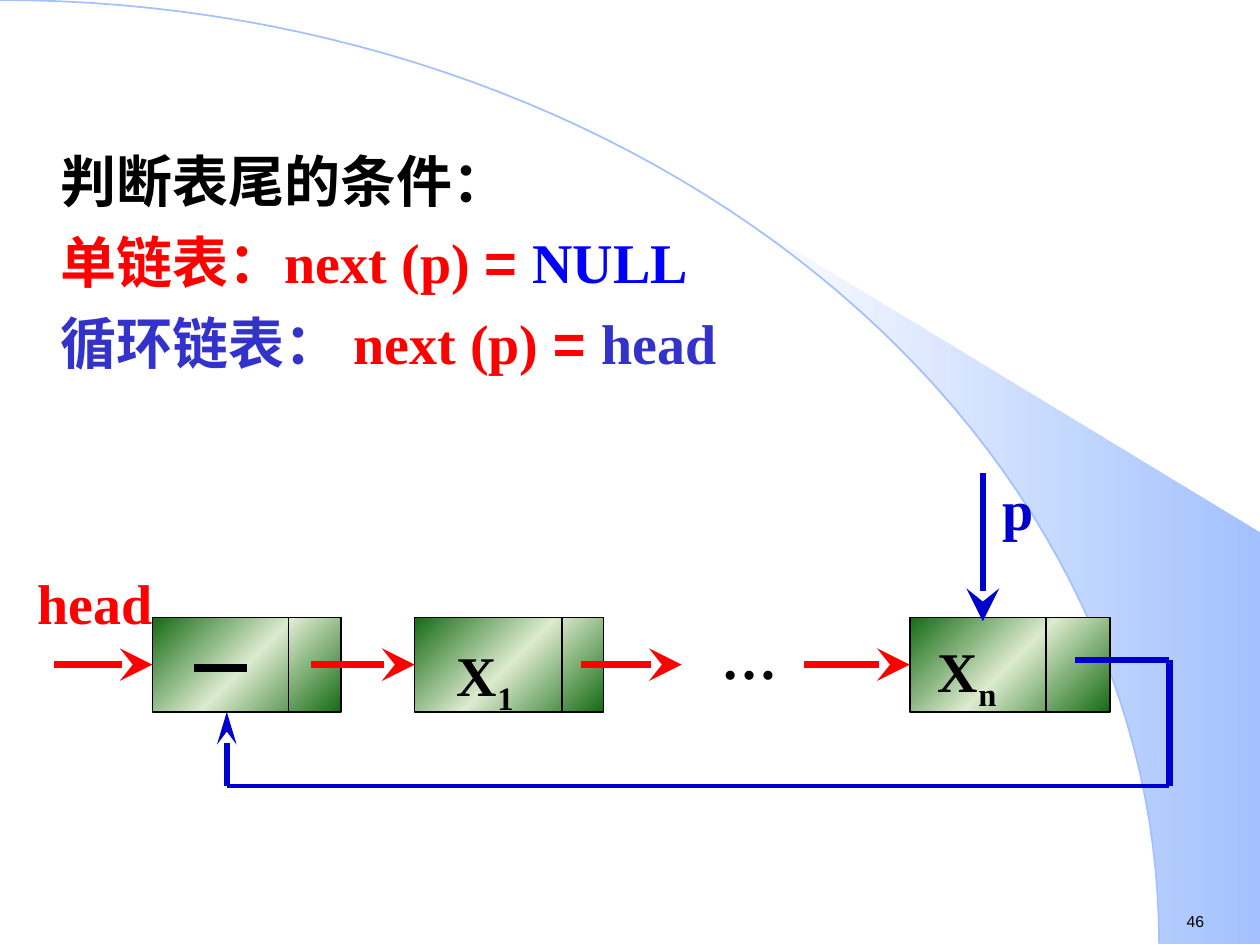
"""Build the slide on testing for the end of singly and circularly linked lists."""
from math import acos, cos, pi, sin

from pptx import Presentation
from pptx.dml.color import RGBColor
from pptx.enum.shapes import MSO_CONNECTOR as Connector, MSO_SHAPE as Shape
from pptx.enum.text import MSO_ANCHOR as Anchor, MSO_AUTO_SIZE as AutoSize, PP_ALIGN as Align
from pptx.oxml import parse_xml
from pptx.oxml.ns import nsdecls, qn
from pptx.oxml.xmlchemy import OxmlElement
from pptx.util import Inches, Pt

WIDTH, HEIGHT = 10, 7.5
SERIF, SANS = "Times New Roman", "Arial"
COLORS = {
    "black": "000000", "red": "FF0000", "null": "0000FF", "circular": "3333CC",
    "pointer": "0000CC", "sky": "A2C1FE", "white": "FFFFFF",
    "leaf": "156B13", "pale": "DDEBCF",
}

CONDITIONS = [
    [("判断表尾的条件：", "black", SERIF)],
    [("单链表：next (p) ", "red", SERIF), ("= ", "red", SANS), ("NULL", "null", SERIF)],
    [("循环链表： ", "circular", SERIF), ("next (p) ", "red", SERIF),
     ("= ", "red", SANS), ("head", "circular", SERIF)],
]

NODE_TOP, NODE_HEIGHT = 4.9, 0.75
MIDDLE = NODE_TOP + NODE_HEIGHT / 2
NODE_BOTTOM = NODE_TOP + NODE_HEIGHT
LOOP_LEFT, LOOP_RIGHT, LOOP_BOTTOM, LINK_TOP = 1.8, 9.28, 6.24, 5.24
NODES = {
    "header": (1.21, 1.5, 2.29),
    "first": (3.29, 1.5, 4.46),
    "last": (7.22, 1.59, 8.3),
}
NEXT_ARROWS = [(0.43, "header"), (2.47, "first"), (6.38, "last"), (4.61, None)]
ARROW_LENGTH = 0.8

LABELS = [
    ((0.2, 4.46, 1.75, 0.64), "head", "", "red", {}),
    ((5.63, 4.9, 0.75, 0.64), "…", "", "black", {}),
    ((3.51, 4.96, 0.68, 0.73), "X", "1", "black", {"line_spacing": 1.2}),
    ((7.3, 4.93, 0.75, 0.73), "X", "n", "black", {"line_spacing": 1.2}),
    ((7.92, 3.87, 0.32, 0.51), "p", "", "pointer", {"line_spacing": 0.8}),
]
ARC_WIDTH, ARC_HEIGHT, BAND_TOP, BAND_RIGHT_TOP = 9.2, 7.49, 1.73, 4.23


def rgb(name):
    return RGBColor.from_string(COLORS[name])


def apply(target, values):
    for name, value in values.items():
        setattr(target, name, value)


def fill_gradient(shape, names, angle):
    shape.fill.gradient()
    stops = "".join(
        f'<a:gs pos="{100000 * i // (len(names) - 1)}"><a:srgbClr val="{COLORS[name]}"/></a:gs>'
        for i, name in enumerate(names))
    gradient = parse_xml(
        f'<a:gradFill {nsdecls("a")} rotWithShape="1"><a:gsLst>{stops}</a:gsLst>'
        f'<a:lin ang="{angle * 60000}" scaled="0"/></a:gradFill>')
    properties = shape.element.spPr
    properties.replace(properties.find(qn("a:gradFill")), gradient)


def arc_points(start, steps=60):
    angles = [start + (pi / 2 - start) * i / steps for i in range(steps + 1)]
    return [(ARC_WIDTH * sin(t), ARC_HEIGHT * (1 - cos(t))) for t in angles]


def add_outline(slide, points, close):
    points = [(Inches(x), Inches(y)) for x, y in points]
    builder = slide.shapes.build_freeform(*points[0])
    builder.add_line_segments(points[1:], close=close)
    shape = builder.convert_to_shape()
    shape.shadow.inherit = False
    return shape


def add_line(slide, start, end, color, width, head=None):
    line = slide.shapes.add_connector(
        Connector.STRAIGHT, *(Inches(value) for value in (*start, *end)))
    line.line.color.rgb = rgb(color)
    line.line.width = Pt(width)
    if head:
        tail = OxmlElement("a:tailEnd")
        for name, value in zip(("type", "w", "len"), ("stealth", head, "lg")):
            tail.set(name, value)
        line.line._get_or_add_ln().append(tail)
    line.element.spPr.append(OxmlElement("a:effectLst"))
    return line


def add_run(paragraph, text, color, font, size=32, bold=True):
    run = paragraph.add_run()
    run.text = text
    apply(run.font, {"name": font, "size": Pt(size), "bold": bold})
    run.font.color.rgb = rgb(color)
    return run


def add_text_box(slide, place):
    frame = slide.shapes.add_textbox(*map(Inches, place)).text_frame
    frame.word_wrap = True
    return frame


def add_background(slide):
    band = add_outline(
        slide, arc_points(acos(1 - BAND_TOP / ARC_HEIGHT))
        + [(WIDTH, ARC_HEIGHT), (WIDTH, BAND_RIGHT_TOP)], True)
    fill_gradient(band, ("white", "sky"), 0)
    band.line.fill.background()
    arc = add_outline(slide, arc_points(0), False)
    arc.fill.background()
    arc.line.color.rgb = rgb("sky")
    arc.line.width = Pt(1)
    number = add_text_box(slide, (9.32, 7.19, 0.6, 0.25))
    add_run(number.paragraphs[0], "46", "black", SANS, 9, False)


def add_conditions(slide):
    body = slide.placeholders[1]
    apply(body, dict(zip(("left", "top", "width", "height"),
                         map(Inches, (0.38, 1.11, 9.38, 2.13)))))
    frame = body.text_frame
    apply(frame, {"auto_size": AutoSize.NONE, "vertical_anchor": Anchor.TOP})
    for i, runs in enumerate(CONDITIONS):
        paragraph = frame.add_paragraph() if i else frame.paragraphs[0]
        properties = paragraph._p.get_or_add_pPr()
        properties.set("marL", "0")
        properties.set("indent", "0")
        properties.append(OxmlElement("a:buNone"))
        paragraph.space_before = Pt(8 if i else 0)
        for run in runs:
            add_run(paragraph, *run)


def add_nodes(slide):
    nodes = {}
    for name, (left, width, divider) in NODES.items():
        node = slide.shapes.add_shape(
            Shape.RECTANGLE, *map(Inches, (left, NODE_TOP, width, NODE_HEIGHT)))
        node.shadow.inherit = False
        fill_gradient(node, ("leaf", "pale", "leaf"), 45)
        node.line.color.rgb = rgb("black")
        node.line.width = Pt(1)
        add_line(slide, (divider, NODE_TOP), (divider, NODE_BOTTOM), "black", 1)
        nodes[name] = node
    return nodes


def add_links(slide, nodes):
    add_line(slide, (1.54, 5.3), (1.96, 5.3), "black", 4.5)
    for left, target in NEXT_ARROWS:
        arrow = add_line(slide, (left, MIDDLE), (left + ARROW_LENGTH, MIDDLE), "red", 3.75, "lg")
        if target:
            arrow.end_connect(nodes[target], 1)
    corners = [(8.53, LINK_TOP), (LOOP_RIGHT, LINK_TOP), (LOOP_RIGHT, LOOP_BOTTOM),
               (LOOP_LEFT, LOOP_BOTTOM), (LOOP_LEFT, NODE_BOTTOM)]
    styles = [(3.75,), (3.75,), (2.25,), (3.75, "med")]
    for start, end, style in zip(corners, corners[1:], styles):
        add_line(slide, start, end, "pointer", *style)
    add_line(slide, (7.8, 3.75), (7.8, 4.93), "pointer", 3.75, "lg")


def add_labels(slide):
    for place, text, subscript, color, spacing in LABELS:
        frame = add_text_box(slide, place)
        paragraph = frame.paragraphs[0]
        if spacing:
            apply(frame, dict.fromkeys(
                ("margin_left", "margin_top", "margin_right", "margin_bottom"), 0))
            apply(paragraph, {"alignment": Align.CENTER, **spacing})
        add_run(paragraph, text, color, SERIF)
        if subscript:
            run = add_run(paragraph, subscript, color, SERIF)
            run.font._element.set("baseline", "-25000")


def main():
    presentation = Presentation()
    apply(presentation, {"slide_width": Inches(WIDTH), "slide_height": Inches(HEIGHT)})
    slide = presentation.slides.add_slide(presentation.slide_layouts[1])
    title = slide.shapes.title.element
    title.getparent().remove(title)
    add_background(slide)
    add_conditions(slide)
    add_links(slide, add_nodes(slide))
    add_labels(slide)
    presentation.save("out.pptx")


if __name__ == "__main__":
    main()
